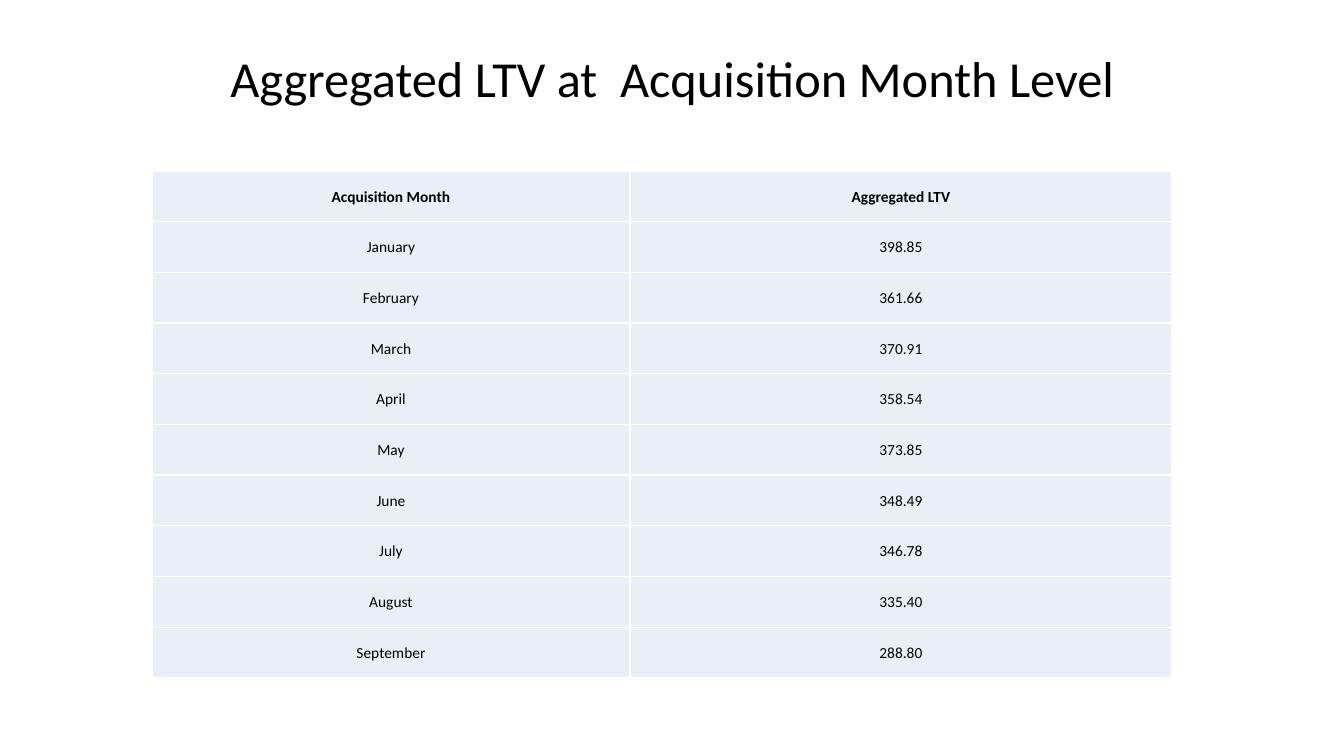
from lxml import etree
from pptx import Presentation
from pptx.dml.color import RGBColor
from pptx.enum.text import MSO_ANCHOR, MSO_AUTO_SIZE, PP_ALIGN
from pptx.oxml.ns import qn
from pptx.util import Pt

EMU_PER_PX = 914400 / 100.8
SLIDE_SIZE = (1344, 756)
TITLE_BOX = (93, 40, 1159, 82)
TABLE_BOX = (152, 171, 1020, 507)
MONTH_WIDTH = 478

FONT = "Calibri"
BLACK = RGBColor(0x00, 0x00, 0x00)
WHITE = RGBColor(0xFF, 0xFF, 0xFF)
PALE_BLUE = RGBColor(0xEA, 0xEF, 0xF7)
CENTER = PP_ALIGN.CENTER
MIDDLE = MSO_ANCHOR.MIDDLE
NO_AUTOFIT = MSO_AUTO_SIZE.NONE

TITLE = "Aggregated LTV at  Acquisition Month Level"
ROWS = [
    ("Acquisition Month", "Aggregated LTV"),
    ("January", "398.85"),
    ("February", "361.66"),
    ("March", "370.91"),
    ("April", "358.54"),
    ("May", "373.85"),
    ("June", "348.49"),
    ("July", "346.78"),
    ("August", "335.40"),
    ("September", "288.80"),
]


def px(length):
    return round(length * EMU_PER_PX)


def format_paragraph(paragraph, size, bold=False):
    paragraph.alignment = CENTER
    for run in paragraph.runs:
        run.font.name = FONT
        run.font.size = Pt(size)
        run.font.bold = bold
        run.font.color.rgb = BLACK


def add_title(slide, box):
    title = slide.shapes.title
    title.left, title.top, title.width, title.height = map(px, box)
    frame = title.text_frame
    frame.text = TITLE
    frame.word_wrap = True
    frame.auto_size = NO_AUTOFIT
    frame.vertical_anchor = MIDDLE
    paragraph = frame.paragraphs[0]
    paragraph.line_spacing = 0.9
    format_paragraph(paragraph, 36)


def set_borders(cell):
    properties = cell._tc.get_or_add_tcPr()
    for position, side in enumerate(("a:lnL", "a:lnR", "a:lnT", "a:lnB")):
        line = etree.Element(qn(side), w=str(Pt(1)))
        fill = etree.SubElement(line, qn("a:solidFill"))
        etree.SubElement(fill, qn("a:srgbClr"), val=str(WHITE))
        properties.insert(position, line)


def format_cell(cell, text, bold):
    cell.text = text
    cell.vertical_anchor = MIDDLE
    cell.margin_left = cell.margin_right = cell.margin_top = px(1)
    cell.margin_bottom = 0
    cell.fill.solid()
    cell.fill.fore_color.rgb = PALE_BLUE
    set_borders(cell)
    format_paragraph(cell.text_frame.paragraphs[0], 11, bold)


def add_ltv_table(slide, box):
    left, top, width, height = box
    table = slide.shapes.add_table(
        len(ROWS), len(ROWS[0]), px(left), px(top), px(width), px(height)
    ).table
    table.columns[0].width = px(MONTH_WIDTH)
    table.columns[1].width = px(width - MONTH_WIDTH)
    for row_index, values in enumerate(ROWS):
        table.rows[row_index].height = px(height / len(ROWS))
        for column_index, text in enumerate(values):
            format_cell(table.cell(row_index, column_index), text, row_index == 0)


def main():
    presentation = Presentation()
    presentation.slide_width, presentation.slide_height = map(px, SLIDE_SIZE)
    slide = presentation.slides.add_slide(presentation.slide_layouts[5])
    add_title(slide, TITLE_BOX)
    add_ltv_table(slide, TABLE_BOX)
    presentation.save("out.pptx")


if __name__ == "__main__":
    main()
